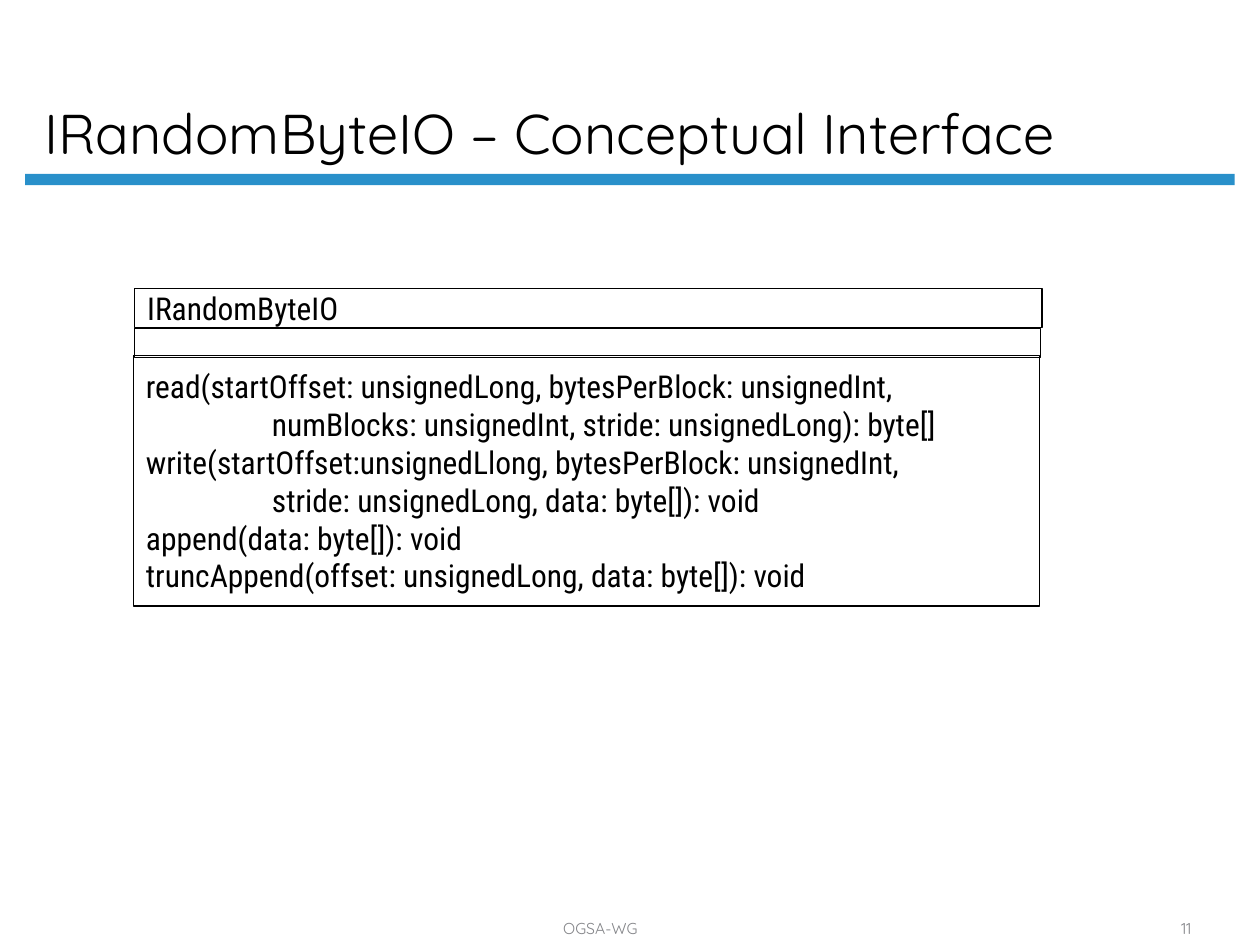
import dataclasses

import pptx
import pptx.dml.color
import pptx.enum.shapes
import pptx.enum.text
import pptx.util
from lxml import etree

ALIGN = pptx.enum.text.PP_ALIGN
ANCHOR = pptx.enum.text.MSO_ANCHOR
COLUMNS, ROWS = 100, 75


@dataclasses.dataclass(frozen=True)
class Theme:
    ink: str = "000000"
    accent: str = "2990CA"
    muted: str = "848589"
    heading_font: str = "Quicksand"
    body_font: str = "Roboto Condensed"
    title_size: int = 32
    body_size: int = 18
    footer_size: int = 9
    outline: float = 0.75


THEME = Theme()
CLASS_NAME = "IRandomByteIO"
OPERATIONS = [
    "read(startOffset: unsignedLong, bytesPerBlock: unsignedInt,",
    "\tnumBlocks: unsignedInt, stride: unsignedLong): byte[]",
    "write(startOffset:unsignedLlong, bytesPerBlock: unsignedInt,",
    "\tstride: unsignedLong, data: byte[]): void",
    "append(data: byte[]): void",
    "truncAppend(offset: unsignedLong, data: byte[]): void",
]


def color(value):
    return pptx.dml.color.RGBColor.from_string(value)


def place(presentation, box):
    """Turn left, top, width, height in grid columns and rows into lengths."""
    column = presentation.slide_width / COLUMNS
    row = presentation.slide_height / ROWS
    return [round(share * unit) for share, unit in zip(box, (column, row) * 2)]


def add_tab_stop(paragraph, inches):
    tab_list = etree.SubElement(paragraph._p.get_or_add_pPr(), pptx.oxml.ns.qn("a:tabLst"))
    etree.SubElement(tab_list, pptx.oxml.ns.qn("a:tab"),
                     pos=str(pptx.util.Inches(inches)), algn="l")


def write_lines(shape, lines, font, size, ink, anchor, align=ALIGN.LEFT):
    frame = shape.text_frame
    frame.word_wrap = True
    frame.auto_size = pptx.enum.text.MSO_AUTO_SIZE.NONE
    frame.vertical_anchor = anchor
    for index, line in enumerate(lines):
        paragraph = frame.add_paragraph() if index else frame.paragraphs[0]
        paragraph.alignment = align
        if line.startswith("\t"):
            add_tab_stop(paragraph, 1)
        run = paragraph.add_run()
        run.text = line
        run.font.name = font
        run.font.size = pptx.util.Pt(size)
        run.font.color.rgb = color(ink)


def add_rectangle(presentation, slide, box):
    shape = slide.shapes.add_shape(
        pptx.enum.shapes.MSO_SHAPE.RECTANGLE, *place(presentation, box))
    shape.shadow.inherit = False
    return shape


def add_header(presentation, slide, title_box, rule_box):
    rule = add_rectangle(presentation, slide, rule_box)
    rule.fill.solid()
    rule.fill.fore_color.rgb = color(THEME.accent)
    rule.line.fill.background()

    title = slide.shapes.title
    title.left, title.top, title.width, title.height = place(presentation, title_box)
    write_lines(title, ["IRandomByteIO – Conceptual Interface"], THEME.heading_font,
                THEME.title_size, THEME.ink, ANCHOR.BOTTOM)
    title.text_frame.paragraphs[0].line_spacing = 0.9


def add_class_diagram(presentation, slide, box):
    """Stack the name, attribute and operation compartments in the box."""
    left, top, width, height = box
    compartments = [
        ((left + 0.1, top, width + 0.1, 3.1), [CLASS_NAME]),
        ((left + 0.1, top + 3.2, width, 2.3), []),
        ((left, top + 5.3, width, height - 5.3), OPERATIONS),
    ]
    for compartment_box, lines in compartments:
        compartment = add_rectangle(presentation, slide, compartment_box)
        compartment.fill.background()
        compartment.line.color.rgb = color(THEME.ink)
        compartment.line.width = pptx.util.Pt(THEME.outline)
        write_lines(compartment, lines, THEME.body_font, THEME.body_size,
                    THEME.ink, ANCHOR.MIDDLE)


def add_footer(presentation, slide, top, height):
    for left, width, text in [(23.3, 48.7, "OGSA-WG"), (90, 8.3, "11")]:
        text_box = slide.shapes.add_textbox(
            *place(presentation, (left, top, width, height)))
        write_lines(text_box, [text], THEME.heading_font, THEME.footer_size,
                    THEME.muted, ANCHOR.BOTTOM, ALIGN.CENTER)


def main():
    presentation = pptx.Presentation()
    presentation.slide_width = pptx.util.Inches(10)
    presentation.slide_height = pptx.util.Inches(7.5)
    slide = presentation.slides.add_slide(presentation.slide_layouts[5])
    add_header(presentation, slide, (2.5, 1.2, 85.6, 12.5), (2, 13.8, 96, 0.9))
    add_class_diagram(presentation, slide, (10.6, 22.9, 71.9, 25.2))
    add_footer(presentation, slide, 72.5, 2.4)
    presentation.save("out.pptx")


if __name__ == "__main__":
    main()
